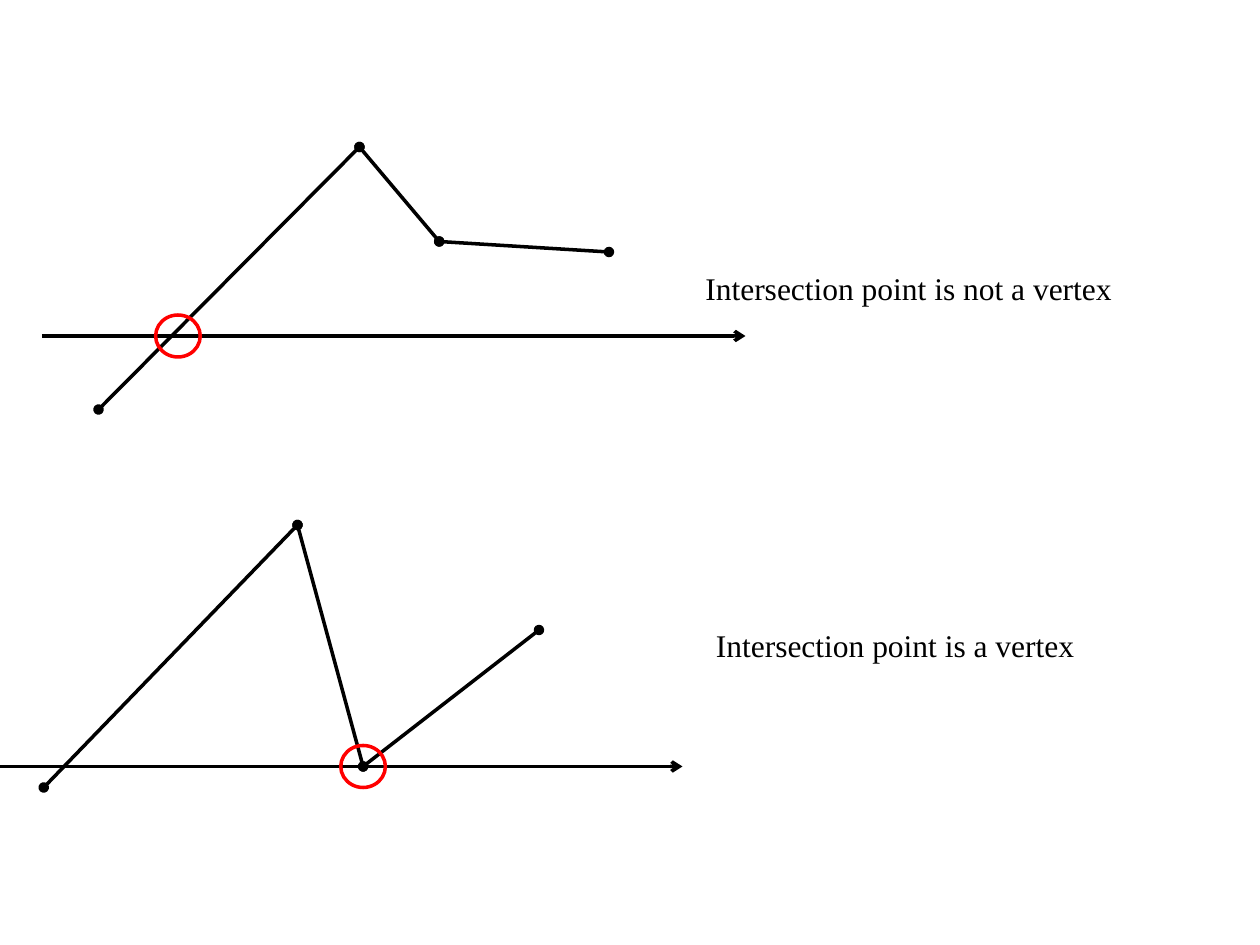
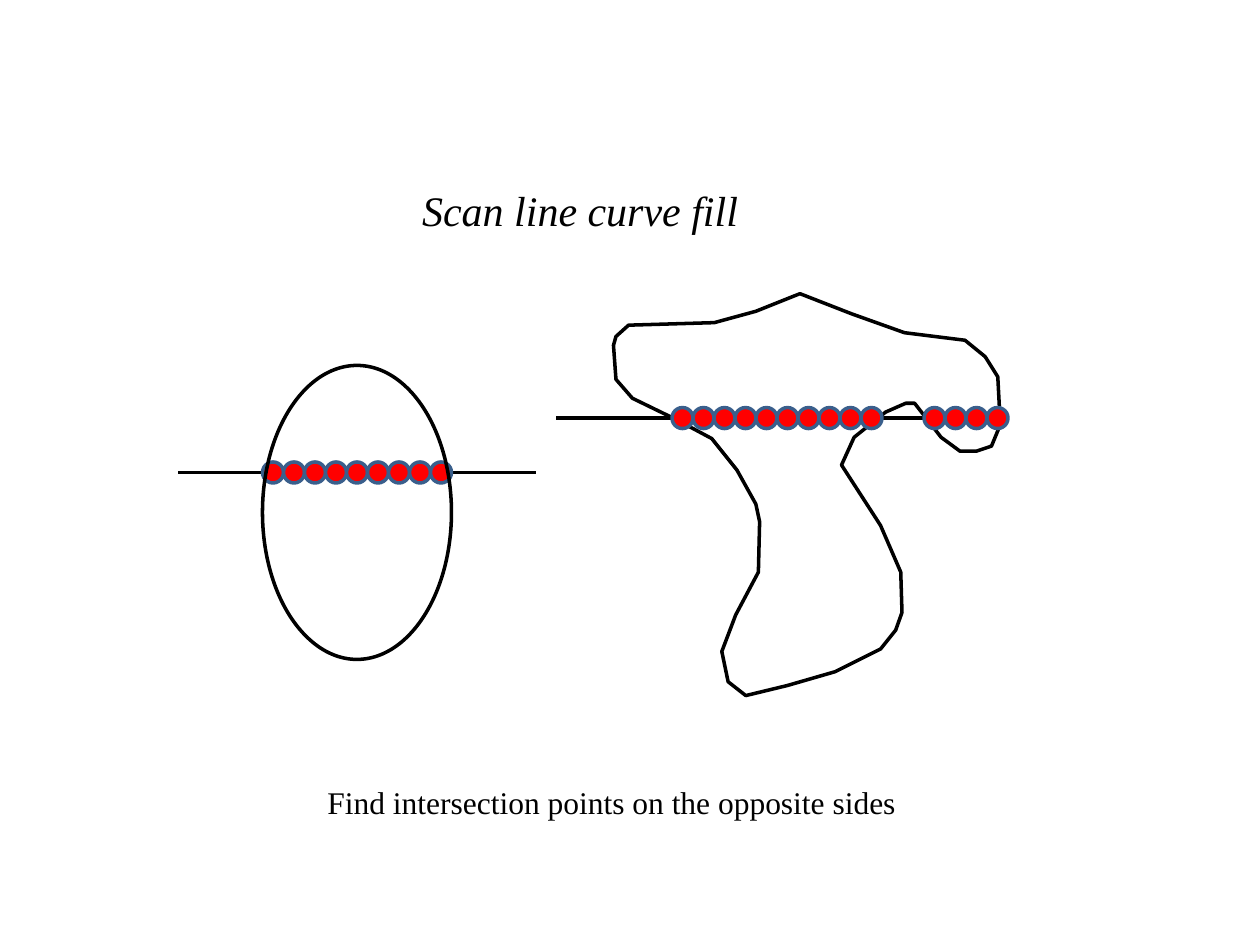
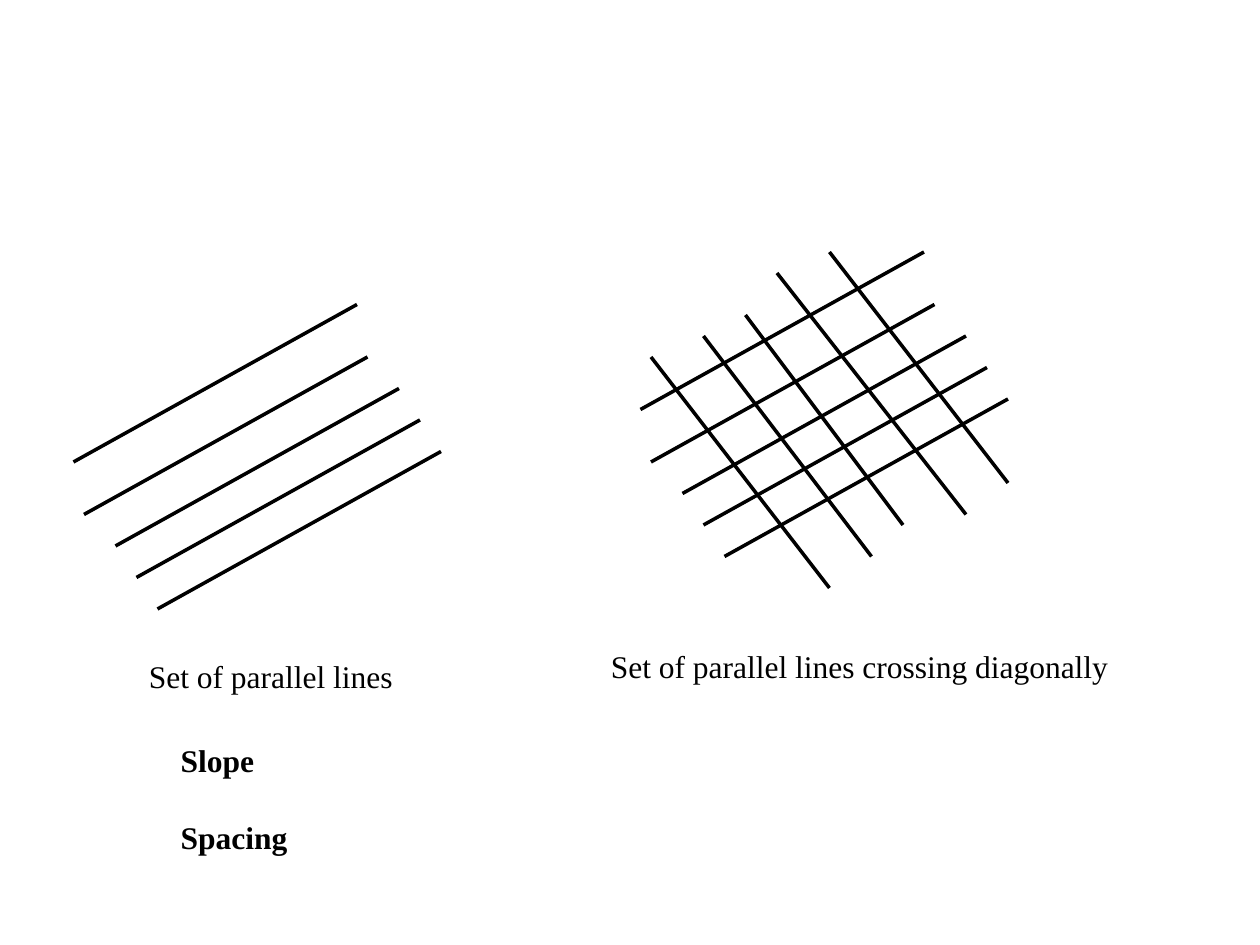
import itertools

import lxml.etree
import pptx
import pptx.dml.color
import pptx.enum.shapes
import pptx.enum.text
import pptx.oxml.ns
import pptx.util

Pt = pptx.util.Pt
qn = pptx.oxml.ns.qn
SHAPE = pptx.enum.shapes.MSO_SHAPE
ALIGN = pptx.enum.text.PP_ALIGN
ANCHOR = pptx.enum.text.MSO_ANCHOR
FIT = pptx.enum.text.MSO_AUTO_SIZE

# Shared look
BLACK = pptx.dml.color.RGBColor(0x00, 0x00, 0x00)
RED = pptx.dml.color.RGBColor(0xFF, 0x00, 0x00)
BLUE = pptx.dml.color.RGBColor(0x3A, 0x5F, 0x8C)
FONT = "Times New Roman"
TITLE_SIZE, TEXT_SIZE, STROKE = 24, 18, 2
PIXEL = 12  # diameter and pitch of the filled pixels
CONTENT_LAYOUT, TITLE_LAYOUT, BLANK_LAYOUT = 1, 5, 6

# Corners of the curved area, on a grid of hundredths of an inch
GRID = 0.72
CURVE = [
    (148, 0), (113, 14), (80, 23), (12, 25), (2, 34), (0, 41), (2, 68),
    (15, 83), (50, 100), (78, 115), (98, 140), (113, 167), (116, 181),
    (115, 221), (97, 255), (86, 284), (91, 308), (105, 319), (138, 311),
    (176, 300), (212, 282), (224, 267), (229, 253), (228, 221), (212, 184),
    (181, 136), (191, 114), (216, 94), (232, 87), (239, 87), (260, 114),
    (275, 125), (288, 125), (300, 121), (307, 104), (305, 66), (295, 50),
    (279, 37), (231, 31), (189, 16),
]

# Hatch lines: starts of the rising set, ends of the falling set
RISING = [(0, 90), (6, 120)] + [(24 + 12 * i, 138 + 18 * i) for i in range(3)]
RISING_RUN, RISING_RISE = 162, 90
FALLING = [((6, 60), (108, 192)), ((36, 48), (132, 174)),
           ((60, 36), (150, 156)), ((78, 12), (186, 150)),
           ((108, 0), (210, 132))]


def add_line(shapes, start, end, head=None, tail=None):
    line = shapes.add_connector(
        pptx.enum.shapes.MSO_CONNECTOR.STRAIGHT,
        *(Pt(value) for value in (*start, *end)))
    line.line.color.rgb = BLACK
    line.line.width = Pt(STROKE)
    properties = line._element.spPr
    for tag, kind in (("a:headEnd", head), ("a:tailEnd", tail)):
        if kind:
            stroke = properties.find(qn("a:ln"))
            lxml.etree.SubElement(stroke, qn(tag), type=kind)
    lxml.etree.SubElement(properties, qn("a:effectLst"))


def style_outline(shape, stroke, fill=None):
    shape.shadow.inherit = False
    shape.line.color.rgb = stroke
    shape.line.width = Pt(STROKE)
    if fill is None:
        shape.fill.background()
    else:
        shape.fill.solid()
        shape.fill.fore_color.rgb = fill


def add_ellipse(shapes, left, top, width, height, stroke, fill=None):
    ellipse = shapes.add_shape(
        SHAPE.OVAL, Pt(left), Pt(top), Pt(width), Pt(height))
    style_outline(ellipse, stroke, fill)


def write(box, text, size=TEXT_SIZE, bold=False, italic=False, wrap=True):
    frame = box.text_frame
    frame.text = text
    frame.word_wrap = wrap
    frame.auto_size = FIT.SHAPE_TO_FIT_TEXT
    frame.vertical_anchor = ANCHOR.TOP
    for paragraph in frame.paragraphs:
        paragraph.alignment = ALIGN.LEFT
        for run in paragraph.runs:
            font = run.font
            font.name, font.size = FONT, Pt(size)
            font.bold, font.italic = bold, italic
            font.color.rgb = BLACK


def place(box, left, top, width, height):
    box.left, box.top = Pt(left), Pt(top)
    box.width, box.height = Pt(width), Pt(height)


def add_label(slide, text, left, top, width):
    label = slide.shapes.add_textbox(Pt(left), Pt(top), Pt(width), Pt(29))
    write(label, text)


def add_intersection(slide, left, top, vertices, axis, crossing):
    """Polyline over a scan line at height axis[1], with its crossing ringed."""
    shapes = slide.shapes.add_group_shape().shapes
    corners = [(left + x, top + y) for x, y in vertices]
    for start, end in itertools.pairwise(corners):
        add_line(shapes, start, end, head="oval", tail="oval")
    length, depth = axis
    add_line(shapes, (left, top + depth), (left + length, top + depth),
             tail="arrow")
    ring_width, ring_height = 25.5, 24
    add_ellipse(shapes, left + crossing - ring_width / 2,
                top + depth - ring_height / 2, ring_width, ring_height, RED)


def add_pixels(shapes, left, middle, count):
    for step in range(count):
        add_ellipse(shapes, left + step * PIXEL, middle - PIXEL / 2,
                    PIXEL, PIXEL, BLUE, RED)


def add_filled_ellipse(slide, left, top, width, height):
    shapes = slide.shapes
    scan, overhang = top + 61.2, 48
    row = shapes.add_group_shape().shapes
    add_line(row, (left - overhang, scan), (left + width + overhang, scan))
    add_pixels(row, left, scan, int(width / PIXEL))
    add_ellipse(shapes, left, top, width, height, BLACK)


def add_filled_curve(slide, left, top):
    shapes = slide.shapes
    builder = shapes.build_freeform(*CURVE[0], scale=Pt(GRID))
    builder.add_line_segments(CURVE[1:], close=True)
    style_outline(builder.convert_to_shape(Pt(left), Pt(top)), BLACK)
    scan = top + 71.1
    add_line(shapes, (left - 32.6, scan), (left + 225.4, scan))
    for offset, count in ((33.4, 10), (177.4, 4)):
        add_pixels(shapes, left + offset, scan, count)


def add_hatch(slide, left, top, crossed=False):
    lines = [((x, y), (x + RISING_RUN, y - RISING_RISE)) for x, y in RISING]
    if crossed:
        lines += FALLING
    for (x1, y1), (x2, y2) in lines:
        add_line(slide.shapes, (left + x1, top + y1), (left + x2, top + y2))


def add_properties(slide, names, left, top, width, height):
    properties = slide.placeholders[1]
    place(properties, left, top, width, height)
    write(properties, "\n".join(names), bold=True)
    for index, paragraph in enumerate(properties.text_frame.paragraphs):
        paragraph.space_before = Pt(22 if index else 0)
        settings = paragraph._p.get_or_add_pPr()
        settings.set("marL", "0")
        settings.set("indent", "0")
        lxml.etree.SubElement(settings, qn("a:buNone"))


def build_intersections(deck):
    slide = deck.slides.add_slide(deck.slide_layouts[BLANK_LAYOUT])
    add_intersection(slide, 24, 84,
                     [(32.3, 150), (181.4, 0), (227, 54), (324, 60)],
                     axis=(402, 108), crossing=77.7)
    add_label(slide, "Intersection point is a vertex", 402, 354, 276)
    add_intersection(slide, 0, 300,
                     [(25, 150), (170, 0), (207.5, 138), (308, 60)],
                     axis=(390, 138), crossing=207.5)
    add_label(slide, "Intersection point is not a vertex", 396, 150, 276)


def build_curve_fill(deck):
    slide = deck.slides.add_slide(deck.slide_layouts[TITLE_LAYOUT])
    title = slide.shapes.title
    place(title, 234, 102, 196.5, 36)
    write(title, "Scan line curve fill", TITLE_SIZE, italic=True, wrap=False)
    add_filled_ellipse(slide, 150, 208.8, 108, 168)
    add_filled_curve(slide, 350.6, 167.8)
    add_label(slide, "Find intersection points on the opposite sides",
              180, 444, 384)


def build_hatching(deck):
    slide = deck.slides.add_slide(deck.slide_layouts[CONTENT_LAYOUT])
    heading = slide.shapes.title._element
    heading.getparent().remove(heading)
    add_hatch(slide, 42, 174)
    add_hatch(slide, 366, 144, crossed=True)
    add_label(slide, "Set of parallel lines", 78, 372, 180)
    add_label(slide, "Set of parallel lines crossing diagonally",
              342, 366, 330)
    add_properties(slide, ["Slope", "Spacing"], 96, 420, 120, 73)


presentation = pptx.Presentation()
presentation.slide_width, presentation.slide_height = Pt(720), Pt(540)
build_intersections(presentation)
build_curve_fill(presentation)
build_hatching(presentation)
presentation.save("out.pptx")
